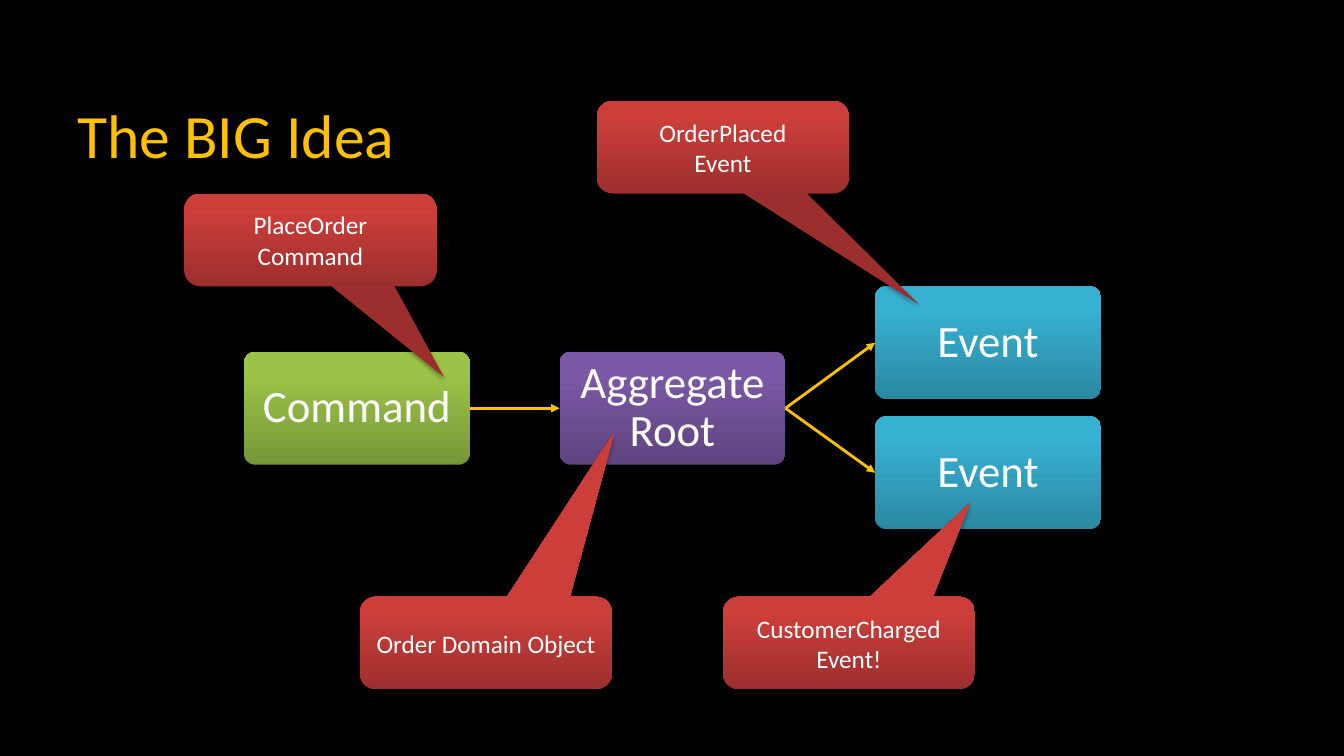
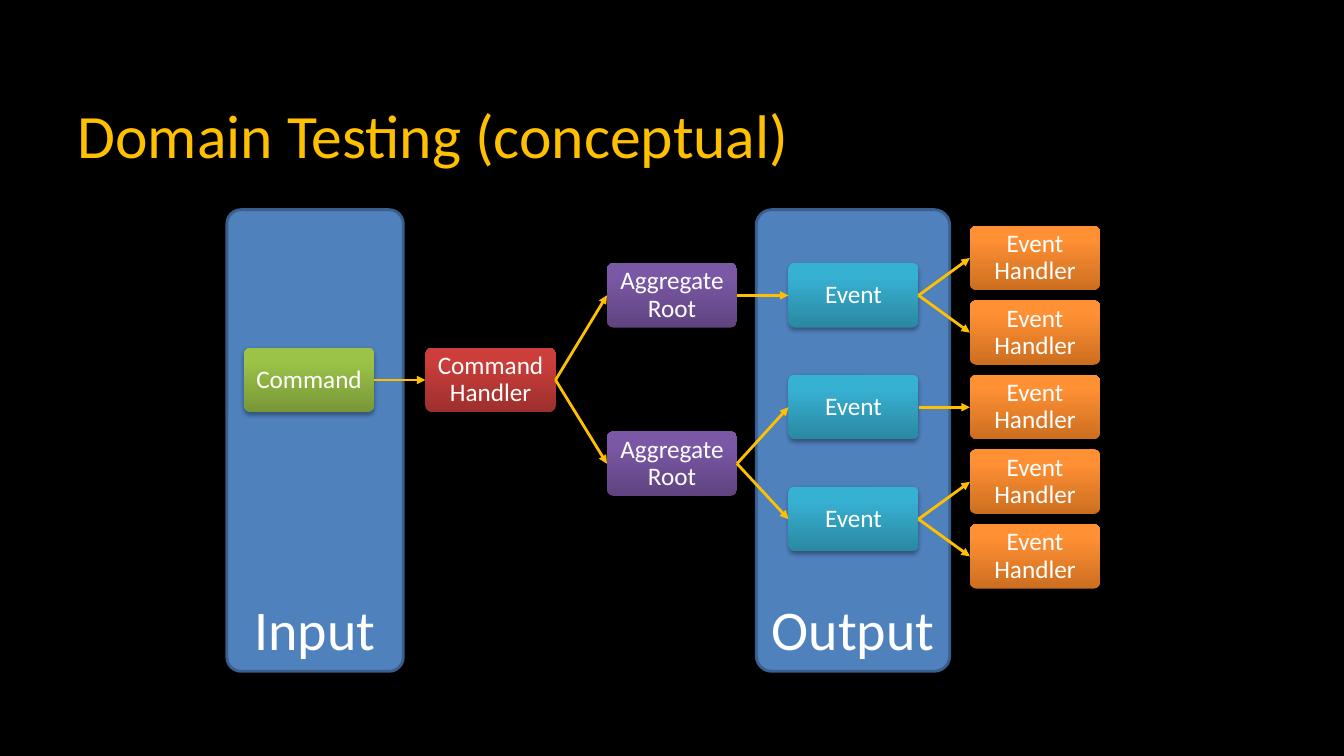
from lxml import etree
from pptx import Presentation
from pptx.dml.color import RGBColor
from pptx.enum.shapes import MSO_CONNECTOR, MSO_SHAPE
from pptx.enum.text import MSO_ANCHOR, PP_ALIGN
from pptx.oxml.ns import qn
from pptx.util import Inches, Pt

ROUND = MSO_SHAPE.ROUNDED_RECTANGLE
CALLOUT = MSO_SHAPE.ROUNDED_RECTANGULAR_CALLOUT
STRAIGHT = MSO_CONNECTOR.STRAIGHT
LEFT, CENTER = PP_ALIGN.LEFT, PP_ALIGN.CENTER
MIDDLE, BOTTOM = MSO_ANCHOR.MIDDLE, MSO_ANCHOR.BOTTOM
LEFT_SITE, RIGHT_SITE = 1, 3

BLACK = RGBColor(0x00, 0x00, 0x00)
WHITE = RGBColor(0xFF, 0xFF, 0xFF)
GOLD = RGBColor(0xFF, 0xC0, 0x00)
BLUE = RGBColor(0x4F, 0x81, 0xBD)
NAVY = RGBColor(0x3A, 0x5F, 0x8C)
GREEN = RGBColor(0x77, 0x97, 0x37), RGBColor(0x9B, 0xC3, 0x48)
RED = RGBColor(0x9C, 0x2F, 0x2D), RGBColor(0xCB, 0x3E, 0x3A)
PURPLE = RGBColor(0x5F, 0x44, 0x80), RGBColor(0x7B, 0x58, 0xA6)
TEAL = RGBColor(0x2A, 0x88, 0xA2), RGBColor(0x37, 0xB1, 0xD2)
ORANGE = RGBColor(0xCC, 0x6E, 0x20), RGBColor(0xFF, 0x90, 0x34)


class Deck:
    font = "Calibri"
    stroke = Pt(2)

    def __init__(self):
        self.show = Presentation()
        self.show.slide_width = Inches(13.33)
        self.show.slide_height = Inches(7.5)
        fill = self.show.slide_master.background.fill
        fill.solid()
        fill.fore_color.rgb = BLACK
        self.layout = self.show.slide_layouts[5]
        self.slide = None

    def start(self, title):
        self.slide = self.show.slides.add_slide(self.layout)
        head = self.slide.shapes.title
        head.left, head.top = Inches(0.67), Inches(0.83)
        head.width, head.height = Inches(12), Inches(1)
        self.label(head, title, 44, GOLD, LEFT)

    def label(self, shape, text, size, color=WHITE, align=CENTER, anchor=MIDDLE):
        frame = shape.text_frame
        frame.text = text
        frame.word_wrap = True
        frame.vertical_anchor = anchor
        for line in frame.paragraphs:
            line.alignment = align
            line.font.name = self.font
            line.font.size = Pt(size)
            line.font.color.rgb = color
        return frame

    def shape(self, kind, x, y, wide, high, bends):
        shape = self.slide.shapes.add_shape(
            kind, Inches(x), Inches(y), Inches(wide), Inches(high))
        for i, bend in enumerate(bends):
            shape.adjustments[i] = bend
        shape.shadow.inherit = False
        return shape

    def gloss(self, shape, tones):
        shape.fill.gradient()
        shape.fill.gradient_angle = 90
        for stop, tone, place in zip(shape.fill.gradient_stops, tones, (0, 0.8)):
            stop.color.rgb = tone
            stop.position = place
        shape.line.fill.background()
        effects = shape._element.spPr.find(qn("a:effectLst"))
        shade = etree.SubElement(effects, qn("a:outerShdw"), blurRad="40000",
                                 dist="23000", dir="5400000", rotWithShape="0")
        black = etree.SubElement(shade, qn("a:srgbClr"), val=str(BLACK))
        etree.SubElement(black, qn("a:alpha"), val="35000")

    def card(self, text, x, y, tones, wide=1.29, high=0.64, size=18, inset=0.01):
        card = self.shape(ROUND, x, y, wide, high, [0.1])
        self.gloss(card, tones)
        frame = self.label(card, text, size)
        frame.margin_left = frame.margin_right = Inches(inset)
        frame.margin_top = frame.margin_bottom = Inches(inset)
        frame.paragraphs[0].line_spacing = 0.9
        return card

    def node(self, text, x, y, tones):
        return self.card(text, x, y, tones, 2.24, 1.12, 32, 0.02)

    def callout(self, text, x, y, tip):
        note = self.shape(CALLOUT, x, y, 2.5, 0.92, [*tip, 0.17])
        self.gloss(note, RED)
        self.label(note, text, 18)

    def panel(self, text, x, wide):
        panel = self.shape(ROUND, x, 2.08, wide, 4.58, [0.08])
        panel.fill.solid()
        panel.fill.fore_color.rgb = BLUE
        panel.line.color.rgb = NAVY
        panel.line.width = self.stroke
        self.label(panel, text, 40, anchor=BOTTOM)

    def arrow(self, start, end):
        arrow = self.slide.shapes.add_connector(STRAIGHT, 0, 0, 0, 0)
        arrow.begin_connect(start, RIGHT_SITE)
        arrow.end_connect(end, LEFT_SITE)
        arrow.line.color.rgb = GOLD
        arrow.line.width = self.stroke
        props = arrow._element.spPr
        etree.SubElement(props.find(qn("a:ln")), qn("a:tailEnd"), type="triangle")
        etree.SubElement(props, qn("a:effectLst"))


def idea(deck):
    deck.start("The BIG Idea")
    order = deck.node("Command", 2.42, 3.49, GREEN)
    root = deck.node("Aggregate Root", 5.55, 3.49, PURPLE)
    deck.arrow(order, root)
    for y in (2.84, 4.13):
        deck.arrow(root, deck.node("Event", 8.68, y, TEAL))
    for text, x, y, tip in (
        ("PlaceOrder\nCommand", 1.83, 1.92, (0.53, 1.48)),
        ("Order Domain Object", 3.57, 5.92, (0.51, -2.28)),
        ("OrderPlaced\nEvent", 5.92, 1, (0.78, 1.7)),
        ("CustomerCharged\nEvent!", 7.17, 5.92, (0.48, -1.51)),
    ):
        deck.callout(text, x, y, tip)


def testing(deck):
    deck.start("Domain Testing (conceptual)")
    deck.panel("Output", 7.5, 1.92)
    deck.panel("Input", 2.25, 1.75)
    cols = [2.42 + 1.8 * i for i in range(5)]
    order = deck.card("Command", cols[0], 3.45, GREEN)
    handler = deck.card("Command Handler", cols[1], 3.45, RED)
    roots = [deck.card("Aggregate Root", cols[2], y, PURPLE) for y in (2.61, 4.28)]
    events = [deck.card("Event", cols[3], 2.61 + 1.11 * i, TEAL) for i in range(3)]
    ends = [deck.card("Event Handler", cols[4], 2.24 + 0.74 * i, ORANGE)
            for i in range(5)]
    deck.arrow(order, handler)
    for root in roots:
        deck.arrow(handler, root)
    for event, i in zip(events, (0, 1, 1)):
        deck.arrow(roots[i], event)
    for end, i in zip(ends, (0, 0, 1, 2, 2)):
        deck.arrow(events[i], end)


def main():
    deck = Deck()
    idea(deck)
    testing(deck)
    deck.show.save("out.pptx")


if __name__ == "__main__":
    main()
